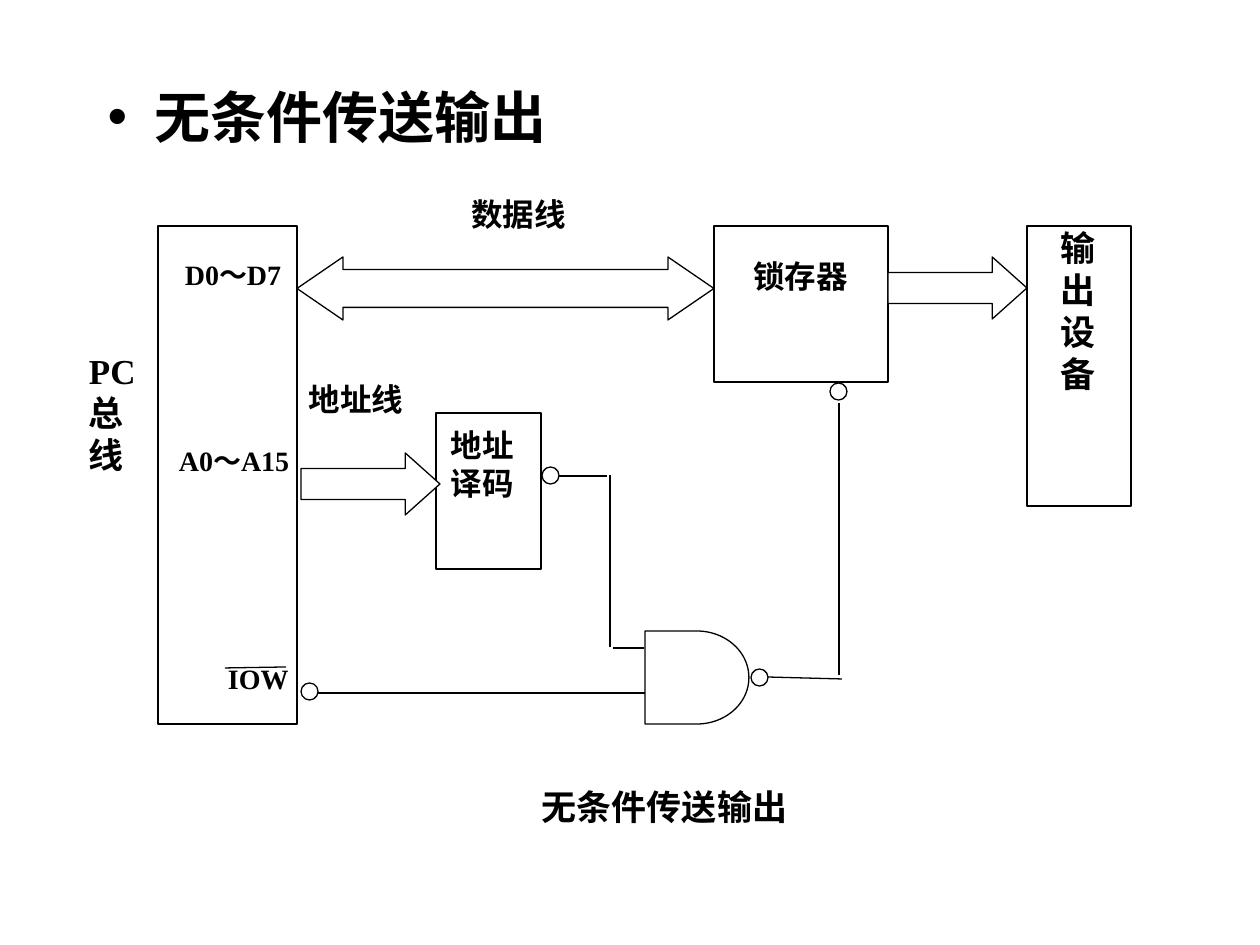
import pptx
import pptx.util
import pptx.dml.color
import pptx.enum.shapes
import pptx.enum.text
import pptx.oxml.ns
import lxml.etree

PX = 914400 // 126
SIZE = (1260, 945)
HEX = {"ink": "000000", "paper": "FFFFFF"}
SERIF, SANS, HAN = "Times New Roman", "Arial", "Noto Sans CJK SC"

KIND = pptx.enum.shapes.MSO_SHAPE
ALIGN = pptx.enum.text.PP_ALIGN

TITLE = ("无条件传送输出", (95, 76, 1071, 764))

# kind, (left, top, width, height), adjustments
BLOCKS = [
    (KIND.RECTANGLE, (158, 226, 139, 498), ()),       # bus
    (KIND.RECTANGLE, (714, 226, 174, 156), ()),       # latch
    (KIND.RECTANGLE, (1027, 226, 104, 280), ()),      # output device
    (KIND.RECTANGLE, (436, 413, 105, 156), ()),       # decoder
    (KIND.FLOWCHART_DELAY, (645, 631, 104, 93), ()),  # gate
    (KIND.LEFT_RIGHT_ARROW, (297, 257, 417, 63), (0.6, 0.73)),
    (KIND.RIGHT_ARROW, (888, 257, 139, 62), (0.5, 0.56)),
    (KIND.RIGHT_ARROW, (301, 453, 139, 62), (0.5, 0.56)),
]

# x1, y1, x2, y2
WIRES = [
    (645, 693, 307, 693),
    (559, 476, 607, 476),
    (610, 475, 610, 647),
    (613, 648, 644, 648),
    (767, 677, 842, 679),
    (839, 403, 839, 675),
    (225, 668, 286, 667),  # bar over IOW
]

BUBBLE = 17
BUBBLES = [(751, 669), (830, 383), (301, 683), (542, 467)]

# text, (left, top, width, height), points, alignment
LABELS = [
    ("数据线", (471, 195, 105, 62), 18, ALIGN.JUSTIFY),
    ("PC\n总\n线", (89, 350, 70, 187), 20, ALIGN.JUSTIFY),
    ("D0～D7", (185, 258, 104, 62), 16, ALIGN.JUSTIFY),
    ("A0～A15", (179, 444, 118, 63), 16, ALIGN.JUSTIFY),
    ("IOW", (228, 662, 70, 62), 16, ALIGN.JUSTIFY),
    ("地址线", (309, 380, 105, 63), 18, ALIGN.JUSTIFY),
    ("锁存器", (748, 257, 105, 62), 18, ALIGN.CENTER),
    ("输\n出\n设\n备", (1061, 226, 36, 249), 20, ALIGN.JUSTIFY),
    ("地址\n译码", (451, 426, 70, 125), 18, ALIGN.JUSTIFY),
    ("无条件传送输出", (439, 786, 451, 63), 20, ALIGN.CENTER),
]


def emu(box):
    return [n * PX for n in box]


def paint(name):
    return pptx.dml.color.RGBColor.from_string(HEX[name])


def ink(line):
    line.color.rgb = paint("ink")
    line.width = pptx.util.Pt(0.75)


def write(frame, text, size, font=SERIF, align=None):
    """Fill a text frame, one bold paragraph for each line of text."""
    frame.word_wrap = True
    frame.auto_size = pptx.enum.text.MSO_AUTO_SIZE.NONE
    for i, part in enumerate(text.split("\n")):
        para = frame.paragraphs[0] if i == 0 else frame.add_paragraph()
        para.alignment = align
        para.space_before = pptx.util.Pt(0)
        run = para.add_run()
        run.text = part
        face = run.font
        face.size, face.bold, face.name = pptx.util.Pt(size), True, font
        face.color.rgb = paint("ink")
        han = lxml.etree.Element(pptx.oxml.ns.qn("a:ea"), typeface=HAN)
        face._element.find(pptx.oxml.ns.qn("a:latin")).addnext(han)


def block(shapes, kind, box, adj=()):
    shape = shapes.add_shape(kind, *emu(box))
    shape.shadow.inherit = False
    for i, val in enumerate(adj):
        shape.adjustments[i] = val
    shape.fill.solid()
    shape.fill.fore_color.rgb = paint("paper")
    ink(shape.line)


def wire(shapes, ends):
    line = shapes.add_connector(
        pptx.enum.shapes.MSO_CONNECTOR.STRAIGHT, *emu(ends))
    ink(line.line)
    lxml.etree.SubElement(
        line._element.spPr, pptx.oxml.ns.qn("a:effectLst"))


def label(shapes, text, box, size, align):
    frame = shapes.add_textbox(*emu(box)).text_frame
    frame.margin_left = frame.margin_right = 0
    frame.margin_top = frame.margin_bottom = 0
    write(frame, text, size, align=align)


def main():
    deck = pptx.Presentation()
    deck.slide_width, deck.slide_height = emu(SIZE)
    slide = deck.slides.add_slide(deck.slide_layouts[1])
    shapes = slide.shapes
    head = shapes.title._element
    head.getparent().remove(head)

    text, box = TITLE
    body = slide.placeholders[1]
    body.left, body.top, body.width, body.height = emu(box)
    write(body.text_frame, text, 32, font=SANS)

    for kind, box, adj in BLOCKS:
        block(shapes, kind, box, adj)
    for ends in WIRES:
        wire(shapes, ends)
    for x, y in BUBBLES:
        block(shapes, KIND.OVAL, (x, y, BUBBLE, BUBBLE))
    for item in LABELS:
        label(shapes, *item)
    deck.save("out.pptx")


if __name__ == "__main__":
    main()
